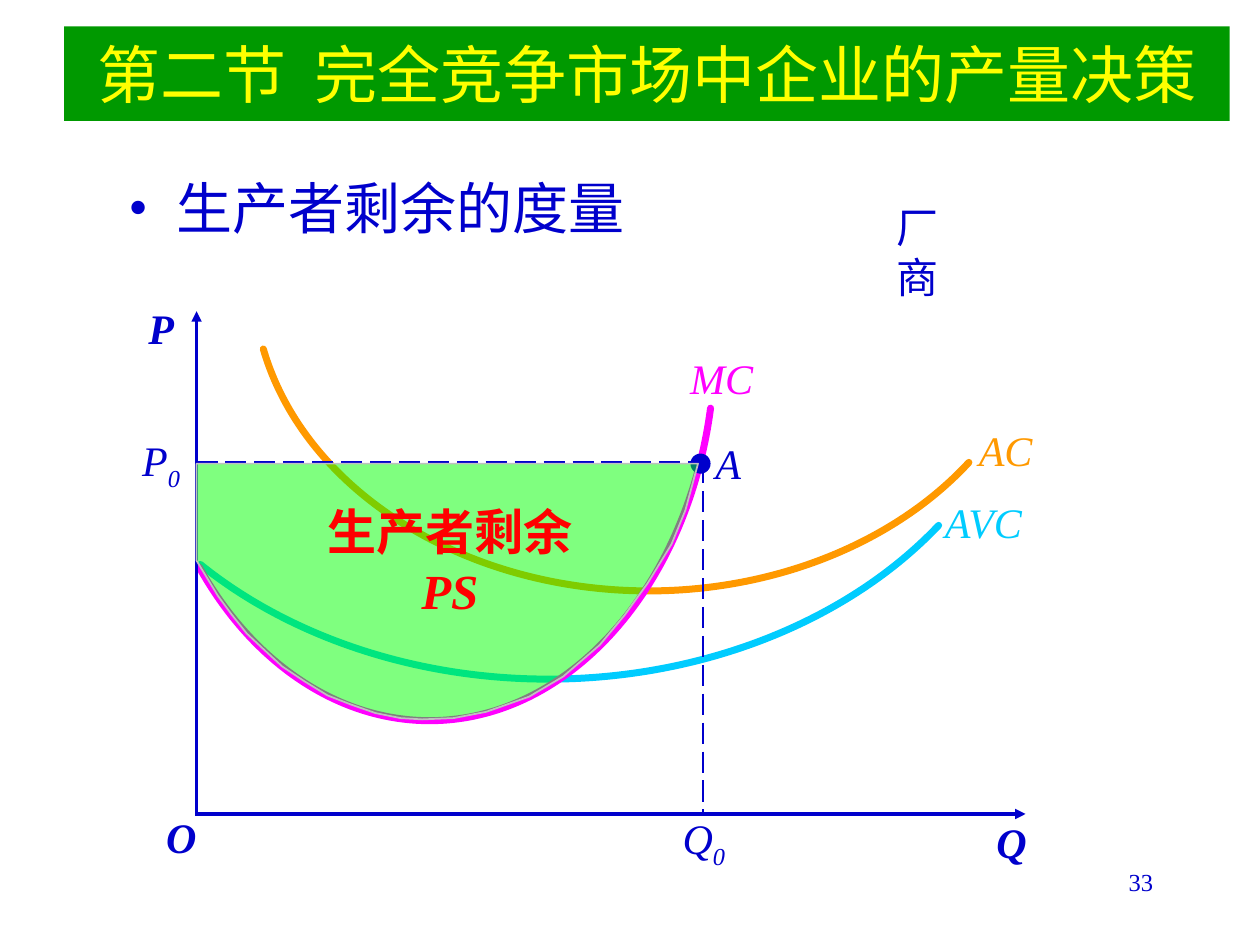
from copy import deepcopy
from dataclasses import dataclass

from lxml import etree
from pptx import Presentation
from pptx.dml.color import RGBColor
from pptx.enum import dml, shapes, text
from pptx.oxml import ns
from pptx.util import Inches, Pt

HUES = {
    "blue": "0000CC", "cyan": "00CCFF", "orange": "FF9900", "pink": "FF00FF",
    "lime": "00FF00", "grey": "C0C0C0", "red": "FF0000", "green": "009900",
    "yellow": "FFFF00",
}
SERIF = "Times New Roman"
LEFT, MID, RIGHT = text.PP_ALIGN.LEFT, text.PP_ALIGN.CENTER, text.PP_ALIGN.RIGHT


@dataclass
class Run:
    """A piece of text with one look."""
    words: str
    size: int = 24
    hue: str = "blue"
    bold: bool = False
    slant: bool = False
    sub: bool = False
    face: str = SERIF


@dataclass
class Label:
    """A text box holding one list of runs per paragraph."""
    box: tuple[float, float, float, float]
    lines: list[list[Run]]
    align: text.PP_ALIGN = LEFT
    wrap: bool = False
    grow: bool = True


@dataclass
class Curve:
    """A cost curve of two cubic arcs, with the hub they turn around."""
    hue: str
    knots: list[tuple[float, float]]
    hub: tuple[float, float]


@dataclass
class Line:
    """An axis with an arrowhead, or a dashed guide."""
    start: tuple[float, float]
    end: tuple[float, float]
    axis: bool


CURVES = [
    Curve("cyan", [(7.45, 4.17), (6.73, 4.93), (5.58, 5.39), (4.35, 5.39),
                   (3.31, 5.39), (2.31, 5.06), (1.59, 4.48)], (4.35, 2.45)),
    Curve("orange", [(7.69, 3.67), (7.1, 4.31), (6.15, 4.69), (5.15, 4.69),
                     (3.69, 4.69), (2.42, 3.9), (2.09, 2.77)], (5.15, 2.22)),
    Curve("pink", [(5.64, 3.24), (5.45, 4.67), (4.51, 5.72), (3.41, 5.72),
                   (2.69, 5.72), (2.01, 5.27), (1.58, 4.5)], (3.41, 2.75)),
]
LINES = [
    Line((1.56, 6.46), (1.56, 2.47), True),
    Line((1.55, 6.46), (8.14, 6.46), True),
    Line((1.56, 3.67), (5.55, 3.67), False),
    Line((5.58, 3.67), (5.58, 6.46), False),
]
LABELS = [
    Label((7.4, 3.89, 0.83, 0.5), [[Run("AVC", hue="cyan", slant=True)]]),
    Label((7.67, 3.32, 0.63, 0.5), [[Run("AC", hue="orange", slant=True)]]),
    Label((5.38, 2.75, 0.7, 0.5), [[Run("MC", hue="pink", slant=True)]]),
    Label((1.08, 2.35, 0.4, 0.5), [[Run("P", bold=True, slant=True)]], wrap=True),
    Label((1.22, 6.39, 0.44, 0.5), [[Run("O", bold=True, slant=True)]]),
    Label((7.81, 6.43, 0.44, 0.5), [[Run("Q", bold=True, slant=True)]]),
    Label((1.03, 3.4, 0.5, 0.56), [[Run("P", slant=True), Run("0", slant=True, sub=True)]]),
    Label((5.32, 6.4, 0.54, 0.56), [[Run("Q", slant=True), Run("0", slant=True, sub=True)]]),
    Label((5.58, 3.42, 0.41, 0.5), [[Run("A", slant=True)]]),
    Label((2.5, 3.93, 2.14, 1.04), [[Run("生产者剩余", 28, "red", True, face="Arial")],
                                    [Run("PS", 28, "red", True, True)]], MID),
    Label((7.17, 6.83, 2.08, 0.5), [[Run("33", 14)]], RIGHT, True, False),
    Label((6.85, 1.55, 0.86, 0.5), [[Run("厂商")]], MID),
]
SURPLUS = [
    (1.56, 3.68), (5.54, 3.68), (5.44, 4.05), (5.33, 4.32), (5.14, 4.63),
    (4.96, 4.88), (4.76, 5.12), (4.47, 5.37), (4.2, 5.53), (3.86, 5.65),
    (3.6, 5.7), (3.35, 5.71), (3.18, 5.7), (2.98, 5.66), (2.78, 5.59),
    (2.6, 5.52), (2.42, 5.41), (2.24, 5.29), (2.11, 5.17), (1.96, 5.03),
    (1.84, 4.88), (1.73, 4.73), (1.56, 4.45),
]


def tint(hue: str) -> RGBColor:
    return RGBColor.from_string(HUES[hue])


def add(node, tag: str, **attrs: str):
    return etree.SubElement(node, ns.qn(tag), attrs)


def write(frame, lines: list[list[Run]], align: text.PP_ALIGN) -> None:
    for i, line in enumerate(lines):
        para = frame.add_paragraph() if i else frame.paragraphs[0]
        para.alignment = align
        for item in line:
            run = para.add_run()
            run.text = item.words
            font = run.font
            font.name, font.size = item.face, Pt(item.size)
            font.bold, font.italic = item.bold, item.slant
            font.color.rgb = tint(item.hue)
            if item.sub:
                run._r.get_or_add_rPr().set("baseline", "-25000")


def put_label(slide, label: Label):
    frame = slide.shapes.add_textbox(*map(Inches, label.box)).text_frame
    frame.word_wrap = label.wrap
    if label.grow:
        frame.auto_size = text.MSO_AUTO_SIZE.SHAPE_TO_FIT_TEXT
    write(frame, label.lines, label.align)
    return frame


def put_bullet(slide) -> None:
    words = [[Run("生产者剩余的度量", 32)]]
    frame = put_label(slide, Label((0.92, 1.33, 8.17, 5), words, wrap=True, grow=False))
    props = frame.paragraphs[0]._p.get_or_add_pPr()
    props.set("marL", str(Inches(0.38)))
    props.set("indent", str(Inches(-0.38)))
    add(add(props, "a:buClr"), "a:srgbClr", val=HUES["blue"])
    add(props, "a:buFont", typeface=SERIF)
    add(props, "a:buChar", char="•")


def put_path(slide, points: list[tuple[float, float]], hue: str, width: float):
    spots = [(Inches(x), Inches(y)) for x, y in points]
    pen = slide.shapes.build_freeform(*spots[0])
    pen.add_line_segments(spots[1:], close=True)
    shape = pen.convert_to_shape()
    shape.shadow.inherit = False
    shape.fill.background()
    shape.line.color.rgb = tint(hue)
    shape.line.width = Pt(width)
    return shape


def put_curve(slide, curve: Curve) -> None:
    shape = put_path(slide, curve.knots + [curve.hub], curve.hue, 4)
    shape.line._get_or_add_ln().set("cap", "rnd")
    wedge = shape._element.spPr.find(".//" + ns.qn("a:path"))
    steps = wedge.findall(ns.qn("a:lnTo"))
    for first in (0, 3):
        bend = etree.Element(ns.qn("a:cubicBezTo"))
        steps[first].addprevious(bend)
        for step in steps[first:first + 3]:
            bend.append(step[0])
            wedge.remove(step)
    arc = deepcopy(wedge)
    for extra in arc[-2:]:
        arc.remove(extra)
    arc.set("fill", "none")
    wedge.set("stroke", "0")
    wedge.addprevious(arc)


def put_line(slide, line: Line) -> None:
    ends = map(Inches, line.start + line.end)
    link = slide.shapes.add_connector(shapes.MSO_CONNECTOR.STRAIGHT, *ends)
    link.line.color.rgb = tint("blue")
    link.line.width = Pt(2 if line.axis else 1.5)
    if line.axis:
        add(link.line._get_or_add_ln(), "a:tailEnd", type="triangle")
    else:
        link.line.dash_style = dml.MSO_LINE.LONG_DASH
    add(link._element.spPr, "a:effectLst")


def put_shape(slide, kind: shapes.MSO_SHAPE, box: tuple[float, float, float, float], hue: str):
    shape = slide.shapes.add_shape(kind, *map(Inches, box))
    shape.shadow.inherit = False
    shape.fill.solid()
    shape.fill.fore_color.rgb = tint(hue)
    shape.line.fill.background()
    return shape


def put_surplus(slide) -> None:
    area = put_path(slide, SURPLUS, "grey", 1)
    area.fill.solid()
    area.fill.fore_color.rgb = tint("lime")
    add(area._element.spPr.find(".//" + ns.qn("a:srgbClr")), "a:alpha", val="50000")


def main() -> None:
    """Build the producer surplus slide."""
    deck = Presentation()
    deck.slide_width, deck.slide_height = Inches(10), Inches(7.5)
    slide = deck.slides.add_slide(deck.slide_layouts[6])
    put_bullet(slide)
    for curve in CURVES:
        put_curve(slide, curve)
    for line in LINES:
        put_line(slide, line)
    put_shape(slide, shapes.MSO_SHAPE.OVAL, (5.48, 3.6, 0.16, 0.16), "blue")
    put_surplus(slide)
    for label in LABELS:
        put_label(slide, label)
    title = put_shape(slide, shapes.MSO_SHAPE.RECTANGLE, (0.51, 0.21, 9.25, 0.75), "green")
    title.text_frame.vertical_anchor = text.MSO_ANCHOR.MIDDLE
    write(title.text_frame, [[Run("第二节  完全竞争市场中企业的产量决策", 36, "yellow")]], MID)
    deck.save("out.pptx")


if __name__ == "__main__":
    main()
